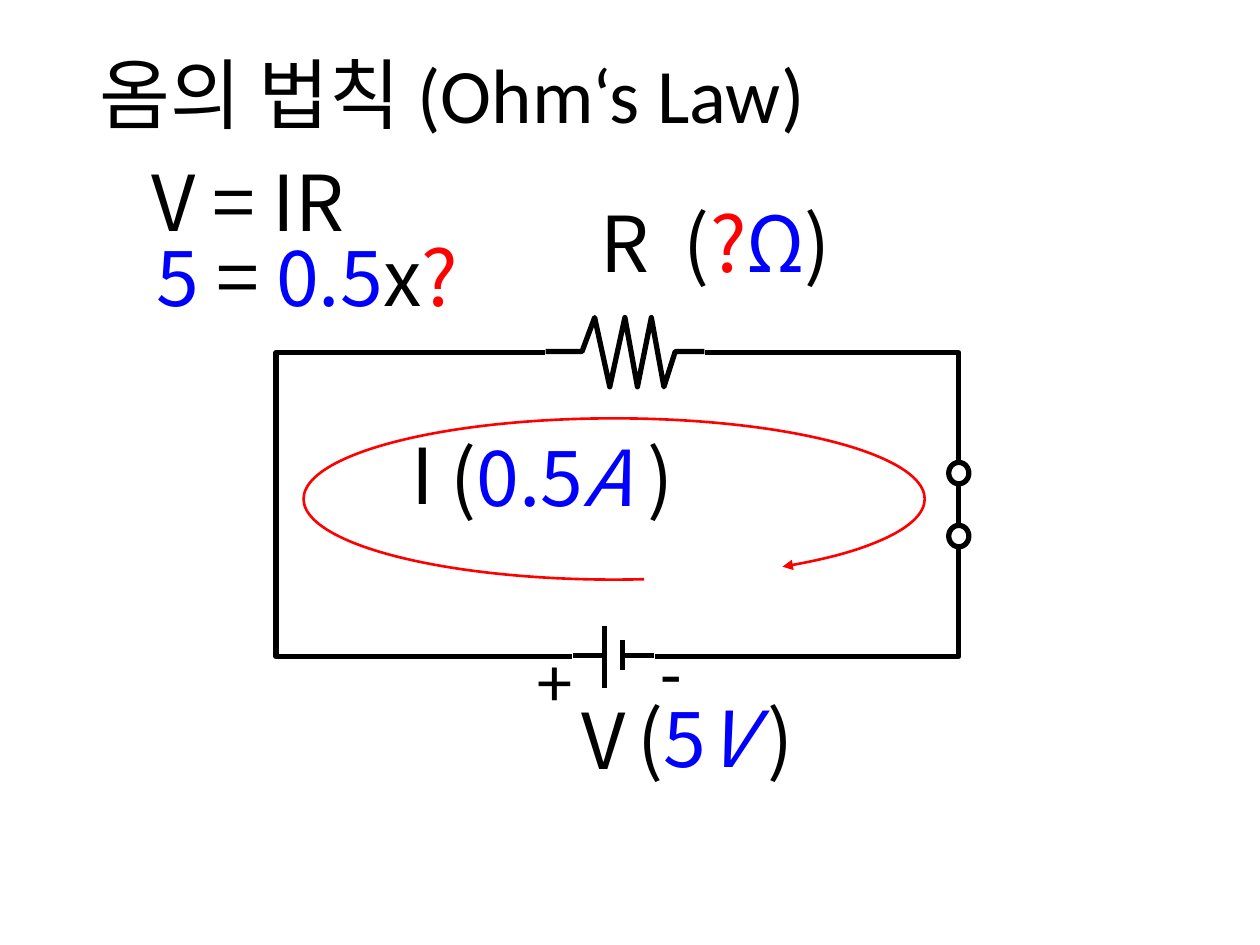
import pptx
import pptx.util
import pptx.dml.color
import pptx.enum.shapes
import pptx.enum.text
import pptx.oxml.ns
import lxml.etree

Inches = pptx.util.Inches
Pt = pptx.util.Pt
RGBColor = pptx.dml.color.RGBColor
MSO_SHAPE = pptx.enum.shapes.MSO_SHAPE
qn = pptx.oxml.ns.qn

BLACK = RGBColor(0x00, 0x00, 0x00)
WHITE = RGBColor(0xFF, 0xFF, 0xFF)
RED = RGBColor(0xFF, 0x00, 0x00)
BLUE = RGBColor(0x00, 0x00, 0xFF)
LATIN = "Calibri"
KOREAN = "Noto Sans CJK KR"
WIRE = 3


def style_line(sp, color=BLACK, width=WIRE):
    sp.line.color.rgb = color
    sp.line.width = Pt(width)


def add_outline(shapes, kind, box, color=BLACK, width=WIRE):
    sp = shapes.add_shape(kind, *map(Inches, box))
    sp.shadow.inherit = False
    sp.fill.background()
    style_line(sp, color, width)
    return sp


def add_gap(shapes, box):
    sp = add_outline(shapes, MSO_SHAPE.RECTANGLE, box, WHITE, 1)
    sp.fill.solid()
    sp.fill.fore_color.rgb = WHITE


def add_wire(shapes, x1, y1, x2, y2):
    line = shapes.add_connector(
        pptx.enum.shapes.MSO_CONNECTOR.STRAIGHT, *map(Inches, (x1, y1, x2, y2)))
    style_line(line)
    lxml.etree.SubElement(line._element.spPr, qn("a:effectLst"))


def add_text(shapes, box, parts, font=KOREAN, size=44, wrap=False):
    tf = shapes.add_textbox(*map(Inches, box)).text_frame
    tf.word_wrap = wrap
    if not wrap:
        tf.auto_size = pptx.enum.text.MSO_AUTO_SIZE.SHAPE_TO_FIT_TEXT
    p = tf.paragraphs[0]
    for text, color, italic in parts:
        r = p.add_run()
        r.text = text
        r.font.name = font
        r.font.size = Pt(size)
        r.font.color.rgb = color
        r.font.italic = italic
        ea = lxml.etree.SubElement(r.font._element, qn("a:ea"))
        ea.set("typeface", KOREAN)
    return p


def add_switch(slide):
    shapes = slide.shapes.add_group_shape().shapes
    add_gap(shapes, (7.53, 3.67, 0.16, 0.67))
    for y in (3.67, 4.17):
        add_outline(shapes, MSO_SHAPE.OVAL, (7.53, y, 0.16, 0.17))
    add_wire(shapes, 7.61, 3.83, 7.61, 4.17)


def add_current(slide):
    arc = add_outline(slide.shapes, MSO_SHAPE.ARC, (2.41, 3.32, 4.93, 1.28), RED, 1.5)
    arc.adjustments[0] = 41.72
    arc.adjustments[1] = 13.16
    tail = lxml.etree.SubElement(arc.line._get_or_add_ln(), qn("a:tailEnd"))
    tail.set("type", "triangle")


def add_resistor(slide):
    shapes = slide.shapes.add_group_shape().shapes
    add_gap(shapes, (4.33, 2.42, 1.26, 0.74))
    middle, top, bottom = 2.79, 2.52, 3.07
    peaks = [(4.72, top), (4.84, bottom), (4.96, top),
             (5.06, bottom), (5.17, top), (5.27, bottom)]
    points = [(4.62, middle), *peaks, (5.36, middle), (5.59, middle)]
    builder = shapes.build_freeform(Inches(4.33), Inches(middle))
    builder.add_line_segments([(Inches(x), Inches(y)) for x, y in points], close=False)
    zigzag = builder.convert_to_shape()
    zigzag.shadow.inherit = False
    zigzag.fill.background()
    style_line(zigzag)


def add_battery(slide):
    shapes = slide.shapes.add_group_shape().shapes
    add_gap(shapes, (4.55, 4.97, 0.64, 0.49))
    add_wire(shapes, 4.8, 4.97, 4.8, 5.46)
    add_wire(shapes, 4.94, 5.08, 4.94, 5.32)
    add_wire(shapes, 4.94, 5.2, 5.19, 5.2)
    add_wire(shapes, 4.55, 5.2, 4.79, 5.2)


def add_labels(slide):
    shapes = slide.shapes
    for text, box in (("R", (4.67, 1.5, 0.69, 0.84)),
                      ("V", (4.52, 5.45, 0.69, 0.84)),
                      ("I", (3.17, 3.34, 0.48, 0.84)),
                      ("V = IR", (1.1, 1.18, 2.31, 0.84))):
        add_text(shapes, box, [(text, BLACK, False)])
    title = add_text(shapes, (0.69, 0.4, 8.62, 1.45),
                     [("옴의 법칙 (Ohm‘s Law)", BLACK, False)], LATIN, wrap=True)
    title.line_spacing = 0.9
    left, right = ("(", BLACK, False), (")", BLACK, False)
    add_text(shapes, (5.33, 1.5, 1.79, 0.84),
             [left, ("?", RED, False), ("Ω", BLUE, False), right])
    add_text(shapes, (3.48, 3.36, 2.54, 0.84),
             [left, ("0.5", BLUE, False), ("A ", BLUE, True), right])
    add_text(shapes, (4.96, 5.43, 1.87, 0.84),
             [left, ("5", BLUE, False), ("V ", BLUE, True), right])
    add_text(shapes, (1.14, 1.77, 3.33, 0.84),
             [("5", BLUE, False), (" = ", BLACK, False), ("0.5", BLUE, False),
              ("x", BLACK, False), ("?", RED, False)])


def main():
    prs = pptx.Presentation()
    prs.slide_width = Inches(10)
    prs.slide_height = Inches(7.5)
    slide = prs.slides.add_slide(prs.slide_layouts[6])
    add_outline(slide.shapes, MSO_SHAPE.RECTANGLE, (2.19, 2.8, 5.42, 2.41))
    for sign, box in (("+", (4.17, 5, 0.48, 0.77)), ("-", (5.14, 4.95, 0.37, 0.77))):
        add_text(slide.shapes, box, [(sign, BLACK, False)], LATIN, 40)
    add_switch(slide)
    add_current(slide)
    add_resistor(slide)
    add_battery(slide)
    add_labels(slide)
    prs.save("out.pptx")


if __name__ == "__main__":
    main()
